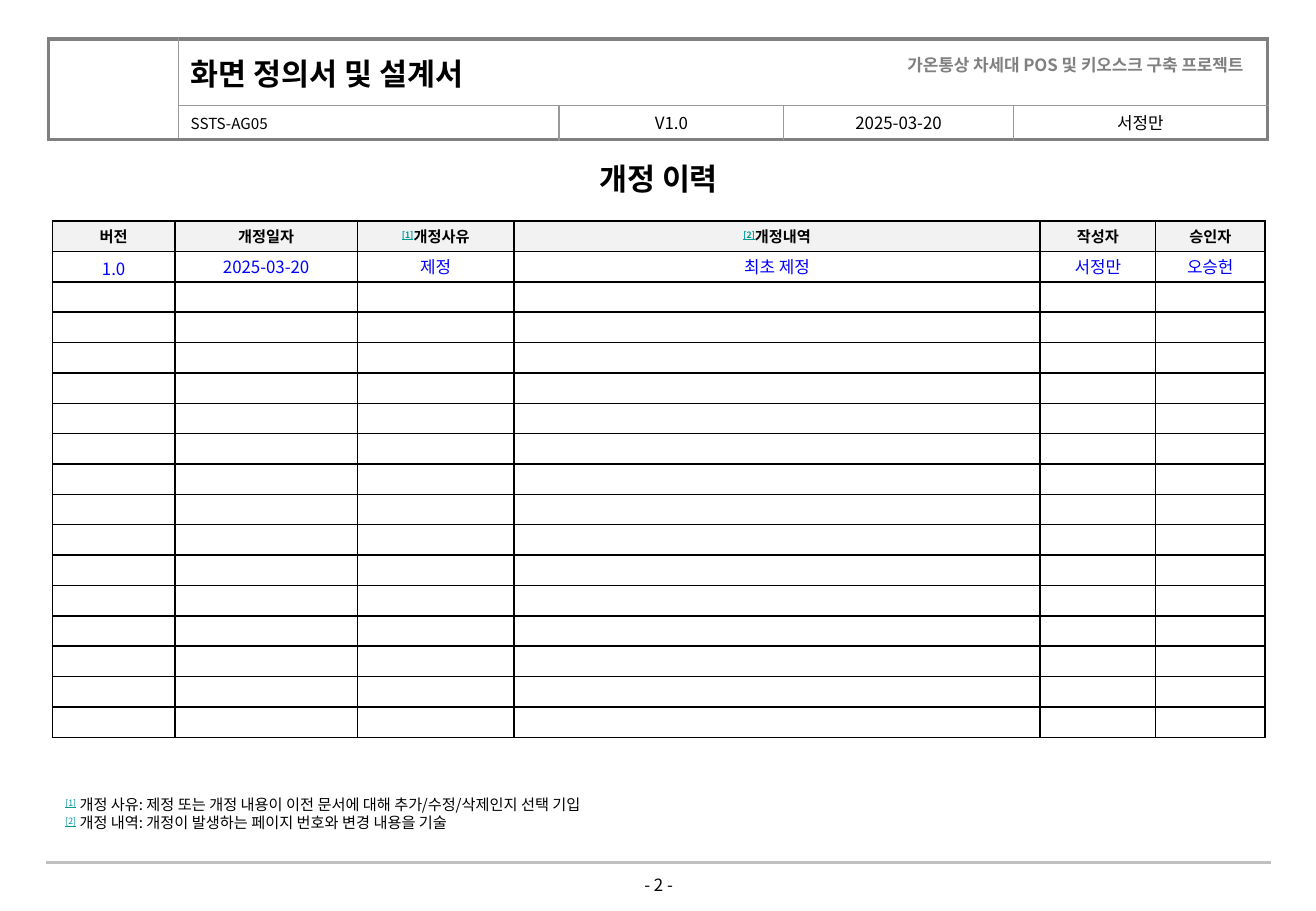
from lxml.etree import SubElement
from pptx import Presentation
from pptx.dml.color import RGBColor
from pptx.enum.shapes import MSO_CONNECTOR
from pptx.enum.text import MSO_ANCHOR, MSO_AUTO_SIZE, PP_ALIGN
from pptx.oxml.ns import qn
from pptx.util import Inches, Pt

COLORS = {
    "text": "000000", "entry": "0000FF", "mark": "009999", "project": "808080",
    "frame": "808080", "inner": "999999", "grid": "000000",
    "heading": "F2F2F2", "rule": "C0C0C0",
}
FONT = "Noto Sans CJK KR"
EDGES = ("lnL", "lnR", "lnT", "lnB")


class SlideBuilder:
    def __init__(self, slide):
        self.slide = slide

    def write_run(self, paragraph, text, color="text", baseline=0, **formats):
        run = paragraph.add_run()
        run.text = text
        values = {"name": FONT, "size": Pt(10), "bold": False, **formats}
        for name, value in values.items():
            setattr(run.font, name, value)
        run.font.color.rgb = RGBColor.from_string(COLORS[color])
        properties = run.font._element
        SubElement(properties, qn("a:ea"), typeface=FONT)
        if baseline:
            properties.set("baseline", str(baseline))

    def write_marked(self, paragraph, mark, text, **formats):
        """Write a text, led by a raised reference mark where there is one."""
        if mark:
            self.write_run(paragraph, mark, **{**formats, "color": "mark"},
                           baseline=30000, underline=True)
        self.write_run(paragraph, text, **formats)

    def text(self, shape, lines, align=PP_ALIGN.LEFT, anchor=MSO_ANCHOR.TOP,
             wrap=True, **formats):
        frame = shape.text_frame
        settings = {"word_wrap": wrap, "vertical_anchor": anchor,
                    "auto_size": MSO_AUTO_SIZE.NONE}
        for name, value in settings.items():
            setattr(frame, name, value)
        for index, (mark, line) in enumerate(lines):
            paragraph = frame.add_paragraph() if index else frame.paragraphs[0]
            paragraph.alignment = align
            self.write_marked(paragraph, mark, line, **formats)

    def text_box(self, left, top, width, height, lines, **options):
        box = self.slide.shapes.add_textbox(
            Inches(left), Inches(top), Inches(width), Inches(height))
        self.text(box, lines, **options)

    def title(self, left, top, width, height, text, **options):
        title = self.slide.shapes.title
        places = {"left": left, "top": top, "width": width, "height": height}
        for name, value in places.items():
            setattr(title, name, Inches(value))
        self.text(title, [("", text)], **options)

    def line(self, left, right, top, color, width):
        connector = self.slide.shapes.add_connector(
            MSO_CONNECTOR.STRAIGHT, Inches(left), Inches(top), Inches(right), Inches(top))
        connector.line.color.rgb = RGBColor.from_string(COLORS[color])
        connector.line.width = Pt(width)
        SubElement(connector._element.spPr, qn("a:effectLst"))

    def border(self, cell, edge, color, width):
        properties = cell._tc.get_or_add_tcPr()
        line = SubElement(properties, qn(f"a:{edge}"), w=str(Pt(width)))
        if color is None:
            SubElement(line, qn("a:noFill"))
        else:
            fill = SubElement(line, qn("a:solidFill"))
            SubElement(fill, qn("a:srgbClr"), val=COLORS[color])

    def table(self, left, top, columns, rows, inner, outer, merges=(), hidden=()):
        """Add an empty table; inner and outer borders are (color, width)."""
        table = self.slide.shapes.add_table(
            len(rows), len(columns), Inches(left), Inches(top),
            Inches(sum(columns)), Inches(sum(rows))).table
        table.first_row = table.horz_banding = False
        for column, width in zip(table.columns, columns):
            column.width = Inches(width)
        for row, height in zip(table.rows, rows):
            row.height = Inches(height)
        for first, last in merges:
            table.cell(*first).merge(table.cell(*last))
        for row in range(len(rows)):
            for column in range(len(columns)):
                cell = table.cell(row, column)
                # A merged cell reaches the frame with its far side
                right, bottom = column + 1, row + 1
                if cell.is_merge_origin:
                    right, bottom = column + cell.span_width, row + cell.span_height
                outside = (column == 0, right == len(columns),
                           row == 0, bottom == len(rows))
                for edge, is_outer in zip(EDGES, outside):
                    style = outer if is_outer else inner
                    if (row, column, edge) in hidden:
                        style = (None, 0)
                    self.border(cell, edge, *style)
                cell.fill.background()
                self.margins(cell, 0.04, 0.02, 0.02)
                # Small type keeps empty rows at their height
                SubElement(cell.text_frame.paragraphs[0]._p, qn("a:endParaRPr"), sz="900")
        return table

    def margins(self, cell, side, top, bottom):
        values = {"margin_left": side, "margin_right": side,
                  "margin_top": top, "margin_bottom": bottom}
        for name, value in values.items():
            setattr(cell, name, Inches(value))

    def cell(self, cell, text, mark="", align=PP_ALIGN.CENTER, **formats):
        cell.vertical_anchor = MSO_ANCHOR.MIDDLE
        paragraph = cell.text_frame.paragraphs[0]
        paragraph.alignment = align
        self.write_marked(paragraph, mark, text, **formats)


def main():
    presentation = Presentation()
    presentation.slide_width = Inches(10.83)
    presentation.slide_height = Inches(7.5)
    slide = presentation.slides.add_slide(presentation.slide_layouts[5])
    builder = SlideBuilder(slide)

    # Document header: no line between the document and project names
    header = builder.table(
        0.4, 0.32, [1.07, 3.13, 1.85, 1.03, 0.86, 2.09], [0.55, 0.28],
        ("inner", 1), ("frame", 2.25),
        merges=[((0, 0), (1, 0)), ((0, 1), (0, 3)), ((0, 4), (0, 5)), ((1, 3), (1, 4))],
        hidden=[(0, 1, "lnR"), (0, 3, "lnR"), (0, 4, "lnL")])
    header_cells = [
        (0, 1, "화면 정의서 및 설계서", PP_ALIGN.LEFT, 18, True),
        (1, 1, "SSTS-AG05", PP_ALIGN.LEFT, 9, False),
        (1, 2, "V1.0", PP_ALIGN.CENTER, 10, False),
        (1, 3, "2025-03-20", PP_ALIGN.CENTER, 10, False),
        (1, 5, "서정만", PP_ALIGN.CENTER, 10, False),
    ]
    for row, column, text, align, size, bold in header_cells:
        cell = header.cell(row, column)
        builder.margins(cell, 0.1, 0.02, 0.02)
        builder.cell(cell, text, align=align, size=Pt(size), bold=bold)
    builder.text_box(6.79, 0.4, 3.54, 0.27,
                     [("", "가온통상 차세대 POS 및 키오스크 구축 프로젝트")],
                     align=PP_ALIGN.RIGHT, color="project", bold=True)

    # Title
    builder.title(4.77, 1.27, 1.3, 0.4, "개정 이력", align=PP_ALIGN.CENTER,
                  anchor=MSO_ANCHOR.MIDDLE, wrap=False, size=Pt(18), bold=True)

    # Revision history
    history = builder.table(0.43, 1.82, [1.01, 1.5, 1.29, 4.33, 0.95, 0.9],
                            [0.25] * 17, ("grid", 1), ("grid", 1))
    headings = [("", "버전"), ("", "개정일자"), ("[1]", "개정사유"),
                ("[2]", "개정내역"), ("", "작성자"), ("", "승인자")]
    entries = ["1.0", "2025-03-20", "제정", "최초 제정", "서정만", "오승헌"]
    for column, ((mark, heading), entry) in enumerate(zip(headings, entries)):
        cell = history.cell(0, column)
        cell.fill.solid()
        cell.fill.fore_color.rgb = RGBColor.from_string(COLORS["heading"])
        builder.cell(cell, heading, mark, size=Pt(9), bold=True)
        cell = history.cell(1, column)
        builder.margins(cell, 0, 0.03 if column == 0 else 0, 0)
        builder.cell(cell, entry, color="entry")

    # Footnotes
    builder.text_box(0.44, 6.5, 4.99, 0.4, [
        ("[1]", " 개정 사유: 제정 또는 개정 내용이 이전 문서에 대해 추가/수정/삭제인지 선택 기입"),
        ("[2]", " 개정 내역: 개정이 발생하는 페이지 번호와 변경 내용을 기술"),
    ], anchor=MSO_ANCHOR.MIDDLE, wrap=False, size=Pt(9))

    # Page footer
    builder.line(0.38, 10.46, 7.1, "rule", 1.5)
    builder.text_box(4.75, 7.15, 1.34, 0.35, [("", "- 2 -")], align=PP_ALIGN.CENTER)

    presentation.save("out.pptx")


if __name__ == "__main__":
    main()
